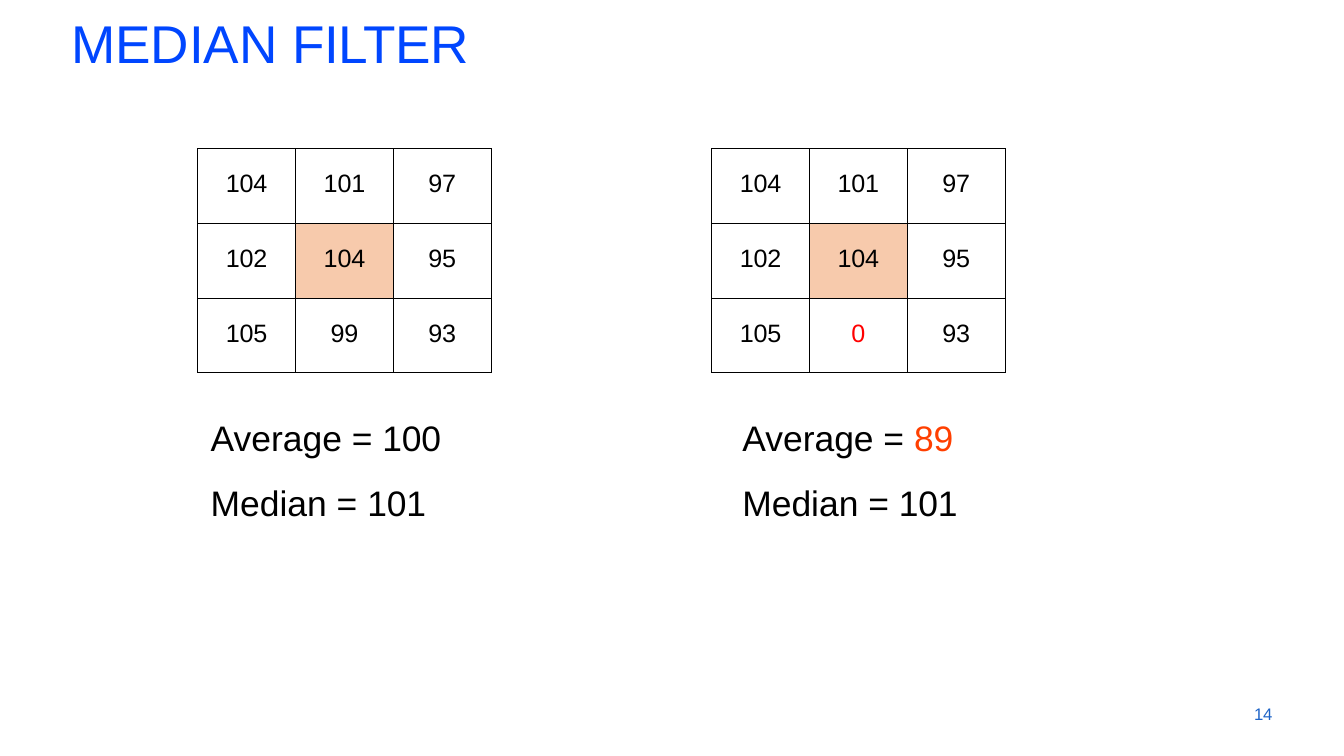
from dataclasses import dataclass

from lxml import etree
from pptx import Presentation
from pptx.dml.color import RGBColor
from pptx.enum.text import MSO_ANCHOR, MSO_AUTO_SIZE, PP_ALIGN
from pptx.oxml.ns import qn
from pptx.slide import Slide
from pptx.table import _Cell
from pptx.text.text import TextFrame
from pptx.util import Pt

LEFT, CENTER = PP_ALIGN.LEFT, PP_ALIGN.CENTER
TOP, GROW = MSO_ANCHOR.TOP, MSO_AUTO_SIZE.SHAPE_TO_FIT_TEXT
FONT = "Arial"
COLORS = {
    "title": "0046FF",
    "page": "1D63C7",
    "ink": "000000",
    "noise": "FF0000",
    "shift": "FF3F00",
    "core": "F7CAAC",
}
SIDE, ROW, COL = 3, 75.84, 99.36
GRID_TOP, STATS_TOP = 151.2, 398.88


@dataclass
class Run:
    text: str
    color: str = "ink"
    track: float = 0


@dataclass
class Box:
    left: float
    top: float
    width: float
    height: float


@dataclass
class Case:
    """A pixel window with the average and median found in it."""
    grid_left: float
    stats_left: float
    stats_width: float
    last: Run
    mean: Run


def write(frame: TextFrame, lines: list[list[Run]], *, size: float,
          align: PP_ALIGN = LEFT, gap: float = 0, pitch: float = 0) -> None:
    for i, runs in enumerate(lines):
        para = frame.add_paragraph() if i else frame.paragraphs[0]
        para.alignment = align
        if i:
            para.space_before = Pt(gap)
        if pitch:
            para.line_spacing = Pt(pitch)
        for item in runs:
            run = para.add_run()
            run.text = item.text
            run.font.name = FONT
            run.font.size = Pt(size)
            run.font.color.rgb = RGBColor.from_string(COLORS[item.color])
            if item.track:
                props = run._r.get_or_add_rPr()
                props.set("spc", str(round(item.track * 100)))


def add_box(slide: Slide, box: Box, *, inset: float = 0.9,
            drop: float = 0) -> TextFrame:
    shape = slide.shapes.add_textbox(
        Pt(box.left), Pt(box.top), Pt(box.width), Pt(box.height))
    frame = shape.text_frame
    frame.word_wrap = True
    frame.auto_size = GROW
    frame.margin_left, frame.margin_top = Pt(inset), Pt(drop)
    frame.margin_right = frame.margin_bottom = 0
    return frame


def rule(cell: _Cell) -> None:
    """Draw a thin line on all four sides of a cell."""
    props = cell._tc.get_or_add_tcPr()
    for side in ("lnL", "lnR", "lnT", "lnB"):
        line = etree.SubElement(props, qn(f"a:{side}"), w=str(Pt(1)))
        fill = etree.SubElement(line, qn("a:solidFill"))
        etree.SubElement(fill, qn("a:srgbClr"), val=COLORS["ink"])


def add_grid(slide: Slide, left: float, rows: list[list[Run]]) -> None:
    table = slide.shapes.add_table(
        SIDE, SIDE, Pt(left), Pt(GRID_TOP), Pt(SIDE * COL), Pt(SIDE * ROW)).table
    table.first_row = table.horz_banding = False
    for i in range(SIDE):
        table.rows[i].height, table.columns[i].width = Pt(ROW), Pt(COL)
    for r, row in enumerate(rows):
        for c, item in enumerate(row):
            cell = table.cell(r, c)
            cell.margin_left = cell.margin_right = cell.margin_bottom = 0
            cell.margin_top = Pt(21.6)
            cell.vertical_anchor = TOP
            rule(cell)
            if r == c == SIDE // 2:
                cell.fill.solid()
                cell.fill.fore_color.rgb = RGBColor.from_string(COLORS["core"])
            else:
                cell.fill.background()
            write(cell.text_frame, [[item]], size=25.5, align=CENTER)


def num(text: str) -> Run:
    return Run(text, track=-0.2)


def add_case(slide: Slide, case: Case) -> None:
    add_grid(slide, case.grid_left, [
        [num("104"), num("101"), num("97")],
        [num("102"), num("104"), num("95")],
        [num("105"), case.last, num("93")],
    ])
    box = Box(case.stats_left, STATS_TOP, case.stats_width, 133.92)
    write(add_box(slide, box, drop=23.8), [
        [Run("Average = "), case.mean],
        [Run("Median = "), num("101")],
    ], size=36, gap=22.8)


def main() -> None:
    deck = Presentation()
    deck.slide_width, deck.slide_height = Pt(1365.12), Pt(768.24)
    slide = deck.slides.add_slide(deck.slide_layouts[6])

    title = add_box(slide, Box(71.28, 9.36, 408.96, 66.96), drop=0.9)
    write(title, [[Run("MEDIAN ", "title"), Run("FILTER", "title", -0.6)]], size=54)
    page = add_box(slide, Box(1270.8, 715.68, 25.92, 20.88), inset=3)
    write(page, [[Run("14", "page", -0.2)]], size=17, pitch=19.9)

    for case in (
        Case(200.88, 213.12, 236.88, num("99"), num("100")),
        Case(722.88, 753.12, 221.04, Run("0", "noise", -0.5),
             Run("89", "shift", -0.2)),
    ):
        add_case(slide, case)
    deck.save("out.pptx")


if __name__ == "__main__":
    main()
